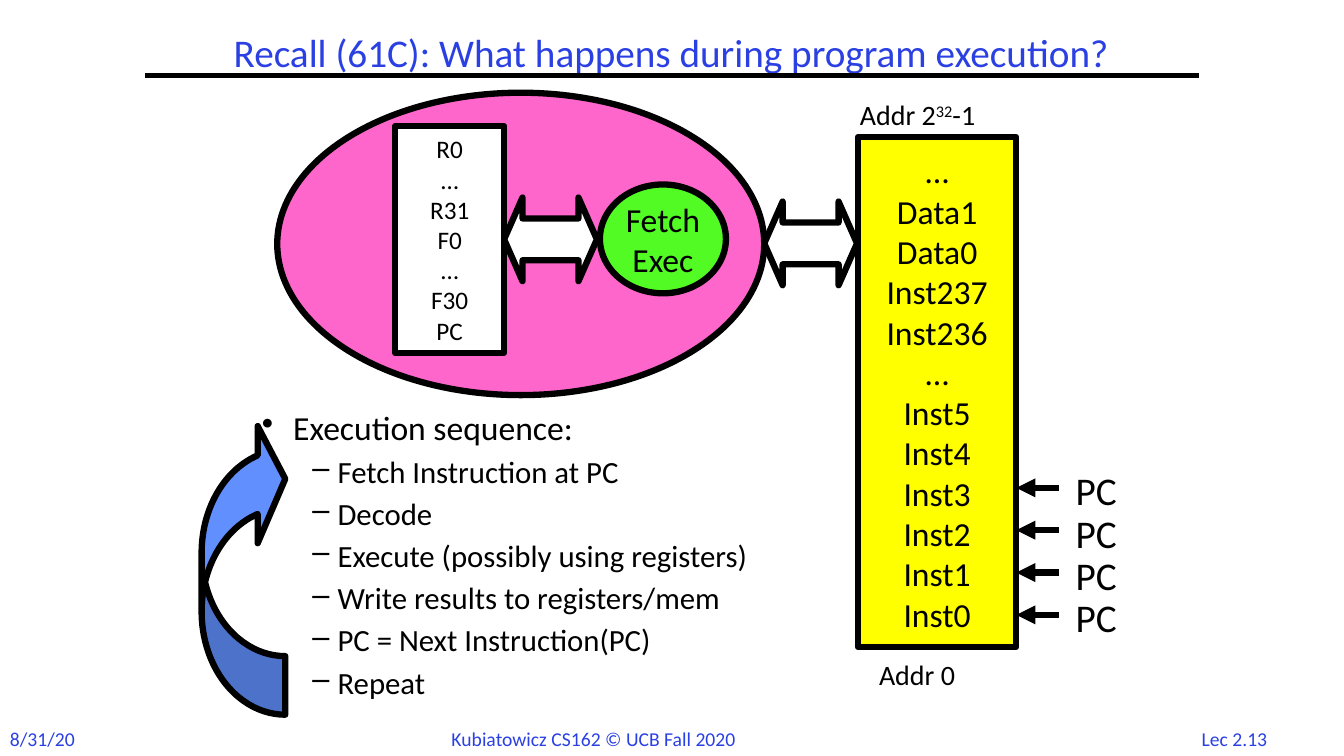
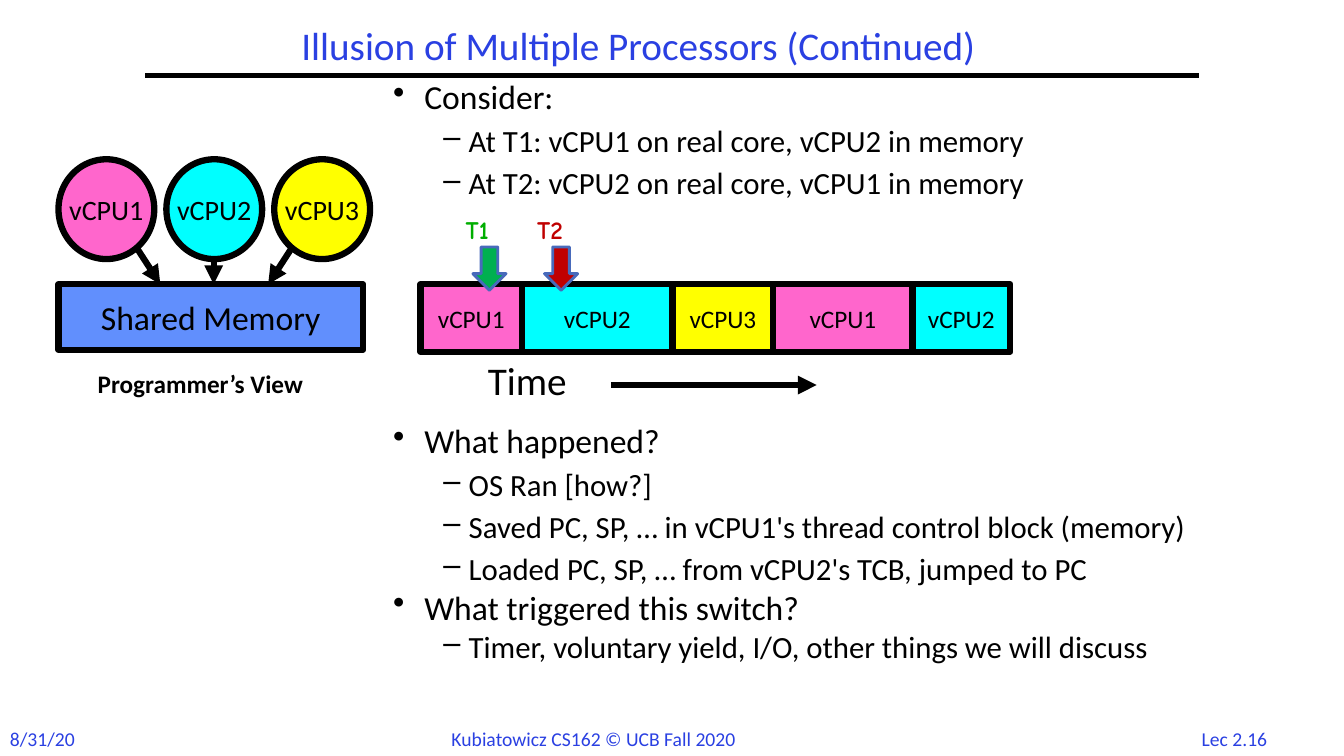
"""Build two lecture slides on program execution and virtual processors."""
from itertools import accumulate

from lxml import etree
from pptx import Presentation
from pptx import util as u
from pptx.dml.color import RGBColor
from pptx.enum import shapes, text
from pptx.oxml.ns import qn

BLUE, BLACK, WHITE = "2A40E2", "000000", "FFFFFF"
PINK, CYAN, YELLOW, MEMORY_BLUE = "FF66CC", "00FFFF", "FFFF00", "618FFD"
GREEN, RED, ARROW_EDGE = "00B050", "C00000", "486ABB"
SHAPE = shapes.MSO_SHAPE
CENTER, LEFT = text.PP_ALIGN.CENTER, text.PP_ALIGN.LEFT


def color(value):
    """Turn a hex string into a colour."""
    return RGBColor.from_string(value)


def apply(target, values):
    """Set every attribute in a dict of values."""
    for name, value in values.items():
        setattr(target, name, value)


def box(*lengths):
    """Convert lengths to inches."""
    return [u.Inches(length) for length in lengths]


class Deck:
    """Hold the shared style and the current slide."""

    def __init__(self):
        """Start a wide presentation."""
        self.presentation = Presentation()
        apply(self.presentation, {"slide_width": u.Inches(13.33), "slide_height": u.Inches(7.5)})
        self.slide = None

    def start(self, title, place, number):
        """Add a slide with its title, rule and footers."""
        self.slide = self.presentation.slides.add_slide(self.presentation.slide_layouts[5])
        holder = self.slide.shapes.title
        apply(holder, dict(zip(("left", "top", "width", "height"), box(*place))))
        apply(holder.text_frame, {"word_wrap": True, "auto_size": text.MSO_AUTO_SIZE.NONE,
                                  "vertical_anchor": text.MSO_ANCHOR.MIDDLE})
        self.add_lines(holder.text_frame, [title], 28, CENTER, BLUE)
        holder.text_frame.paragraphs[0].line_spacing = 0.9
        self.line((1.44, 0.75), (11.89, 0.75), 3, False)
        for words, left, width in (("8/31/20", 0, 0.85),
                                   ("Kubiatowicz CS162 © UCB Fall 2020", 4.38, 3.43),
                                   (f"Lec {number}", 11.82, 0.97)):
            self.label(words, (left, 7.16, width, 0.34), 14, BLUE)

    def add_run(self, paragraph, words, size, ink=BLACK, bold=False, font="Calibri"):
        """Add a formatted run."""
        run = paragraph.add_run()
        run.text = words
        apply(run.font, {"name": font, "size": u.Pt(size), "bold": bold})
        run.font.color.rgb = color(ink)
        return run

    def add_lines(self, frame, lines, size, align, ink=BLACK, **style):
        """Add one paragraph for each line."""
        for index, words in enumerate(lines):
            paragraph = frame.add_paragraph() if index else frame.paragraphs[0]
            paragraph.alignment = align
            self.add_run(paragraph, words, size, ink, **style)

    def label(self, words, place, size, ink=BLACK, **style):
        """Add a one-line text box and return its paragraph."""
        frame = self.slide.shapes.add_textbox(*box(*place)).text_frame
        apply(frame, {"word_wrap": False, "auto_size": text.MSO_AUTO_SIZE.SHAPE_TO_FIT_TEXT})
        self.add_lines(frame, [words], size, LEFT, ink, **style)
        return frame.paragraphs[0]

    def shape(self, kind, place, fill, lines=(), size=24, edge=BLACK, weight=4.5):
        """Add an outlined preset shape with centred text."""
        shape = self.slide.shapes.add_shape(kind, *box(*place))
        shape.shadow.inherit = False
        shape.fill.solid()
        shape.fill.fore_color.rgb = color(fill)
        shape.line.color.rgb = color(edge)
        shape.line.width = u.Pt(weight)
        apply(shape.text_frame, {"word_wrap": False, "vertical_anchor": text.MSO_ANCHOR.MIDDLE})
        self.add_lines(shape.text_frame, lines, size, CENTER)
        return shape

    def line(self, start, end, weight=4.5, arrow=True):
        """Add a straight line, with an arrowhead at its end if wanted."""
        connector = self.slide.shapes.add_connector(
            shapes.MSO_CONNECTOR.STRAIGHT, *box(*start, *end))
        connector.line.color.rgb = color(BLACK)
        connector.line.width = u.Pt(weight)
        properties = connector._element.spPr
        if arrow:
            etree.SubElement(properties.find(qn("a:ln")), qn("a:tailEnd"), type="triangle")
        etree.SubElement(properties, qn("a:effectLst"))

    def bullets(self, place, items):
        """Add a two-level list from (level, words, line spacing) items."""
        frame = self.slide.shapes.add_textbox(*box(*place)).text_frame
        frame.word_wrap = True
        looks = (("•", 24, 0.31, 0.31), ("–", 22, 0.75, 0.25))
        for index, (level, words, spacing) in enumerate(items):
            mark, size, margin, hang = looks[level]
            paragraph = frame.add_paragraph() if index else frame.paragraphs[0]
            before = 6.4 if spacing == 0.9 else 5.5
            apply(paragraph, {"level": level, "alignment": LEFT, "line_spacing": spacing,
                              "space_before": u.Pt(before)})
            properties = paragraph._p.get_or_add_pPr()
            properties.set("marL", str(u.Inches(margin)))
            properties.set("indent", str(-u.Inches(hang)))
            etree.SubElement(properties, qn("a:buChar"), char=mark)
            self.add_run(paragraph, words, size)


def execution_slide(deck):
    """Draw the processor, its memory and the execution sequence."""
    deck.start("Recall (61C): What happens during program execution?",
               (1.67, 0.25, 9.97, 0.58), "2.13")
    deck.shape(SHAPE.OVAL, (2.75, 0.92, 4.83, 3), PINK)
    deck.shape(SHAPE.OVAL, (5.95, 1.83, 1.25, 1.08), "53FB25", ["Fetch", "Exec"])
    for left, top in ((5, 1.96), (7.58, 2)):
        arrow = deck.shape(SHAPE.LEFT_RIGHT_ARROW, (left, top, 0.92, 0.83), WHITE)
        arrow.adjustments[1] = 0.22
    deck.shape(SHAPE.RECTANGLE, (3.92, 1.25, 1.08, 2.25), WHITE,
               ["R0", "…", "R31", "F0", "…", "F30", "PC"], 18)
    instructions = [f"Inst{number}" for number in range(5, -1, -1)]
    deck.shape(SHAPE.RECTANGLE, (8.51, 1.36, 1.57, 5.06), YELLOW,
               ["…", "Data1", "Data0", "Inst237", "Inst236", "…", *instructions])
    deck.label("Addr 0", (8.62, 6.47, 1.03, 0.44), 20)
    top_address = deck.label("Addr 2", (8.43, 0.92, 1.48, 0.44), 20)
    exponent = deck.add_run(top_address, "32", 20)
    exponent._r.get_or_add_rPr().set("baseline", "30000")
    deck.add_run(top_address, "-1", 20)
    steps = ["Fetch Instruction at PC", "Decode", "Execute (possibly using registers)",
             "Write results to registers/mem", "PC = Next Instruction(PC)", "Repeat"]
    deck.bullets((2.5, 4.03, 6.25, 3.25),
                 [(0, "Execution sequence:", 0.9), *((1, step, 0.9) for step in steps)])
    for row in range(4):
        middle = 4.84 + row * 0.42
        deck.label("PC", (10.57, middle - 0.26, 0.75, 0.57), 28)
        deck.line((10.5, middle), (10.08, middle))
    loop = deck.shape(SHAPE.CURVED_RIGHT_ARROW, (2, 4.17, 0.83, 2.92), MEMORY_BLUE)
    for index, value in enumerate((0.7, 1.4, 0.33)):
        loop.adjustments[index] = value
    loop._element.spPr.find(qn("a:xfrm")).set("flipV", "1")


def processors_slide(deck):
    """Draw virtual processors sharing memory and time."""
    deck.start("Illusion of Multiple Processors (Continued)", (2.02, 0.04, 8.62, 0.87), "2.16")
    deck.bullets((3.8, 0.75, 9.38, 1.4), [
        (0, "Consider:", 0.9),
        (1, "At T1: vCPU1 on real core, vCPU2 in memory", 0.9),
        (1, "At T2: vCPU2 on real core, vCPU1 in memory", 0.9)])
    deck.bullets((3.8, 4.16, 9.38, 2.8), [
        (0, "What happened?", 0.9),
        (1, "OS Ran [how?]", 0.9),
        (1, "Saved PC, SP, … in vCPU1's thread control block (memory)", 0.9),
        (1, "Loaded PC, SP, … from vCPU2's TCB, jumped to PC", 0.9),
        (0, "What triggered this switch?", 0.8),
        (1, "Timer, voluntary yield, I/O, other things we will discuss", 0.8)])
    fills = {"vCPU1": PINK, "vCPU2": CYAN, "vCPU3": YELLOW}
    widths = (1.01, 1.49, 1, 1.38, 0.97)
    order = ("vCPU1", "vCPU2", "vCPU3", "vCPU1", "vCPU2")
    for name, width, left in zip(order, widths, accumulate(widths, initial=4.17)):
        deck.shape(SHAPE.RECTANGLE, (left, 2.82, width, 0.67), fills[name], [name], 18)
    deck.label("Time", (4.74, 3.49, 1.33, 0.57), 28)
    deck.line((6.06, 3.82), (8.1, 3.82))
    for name, left, fill, ink in (("T1", 4.69, GREEN, "00AE00"), ("T2", 5.4, RED, RED)):
        deck.shape(SHAPE.DOWN_ARROW, (left, 2.45, 0.33, 0.43), fill, edge=ARROW_EDGE, weight=2)
        deck.label(name, (left - 0.17, 2.08, 0.71, 0.4), 18, ink, bold=True, font="Comic Neue")
    for column, (name, fill) in enumerate(fills.items()):
        deck.shape(SHAPE.OVAL, (0.58 + column * 1.07, 1.58, 0.95, 0.99), fill, [name], 20)
    deck.shape(SHAPE.RECTANGLE, (0.58, 2.82, 3.02, 0.65), MEMORY_BLUE, ["Shared Memory"])
    for start, end in (((1.35, 2.45), 1.59), ((2.12, 2.57), 2.12), ((2.9, 2.45), 2.66)):
        deck.line(start, (end, 2.82))
    deck.label("Programmer’s View", (0.87, 3.61, 2.55, 0.4), 18, bold=True)


def main():
    """Build and save the presentation."""
    deck = Deck()
    execution_slide(deck)
    processors_slide(deck)
    deck.presentation.save("out.pptx")


if __name__ == "__main__":
    main()
